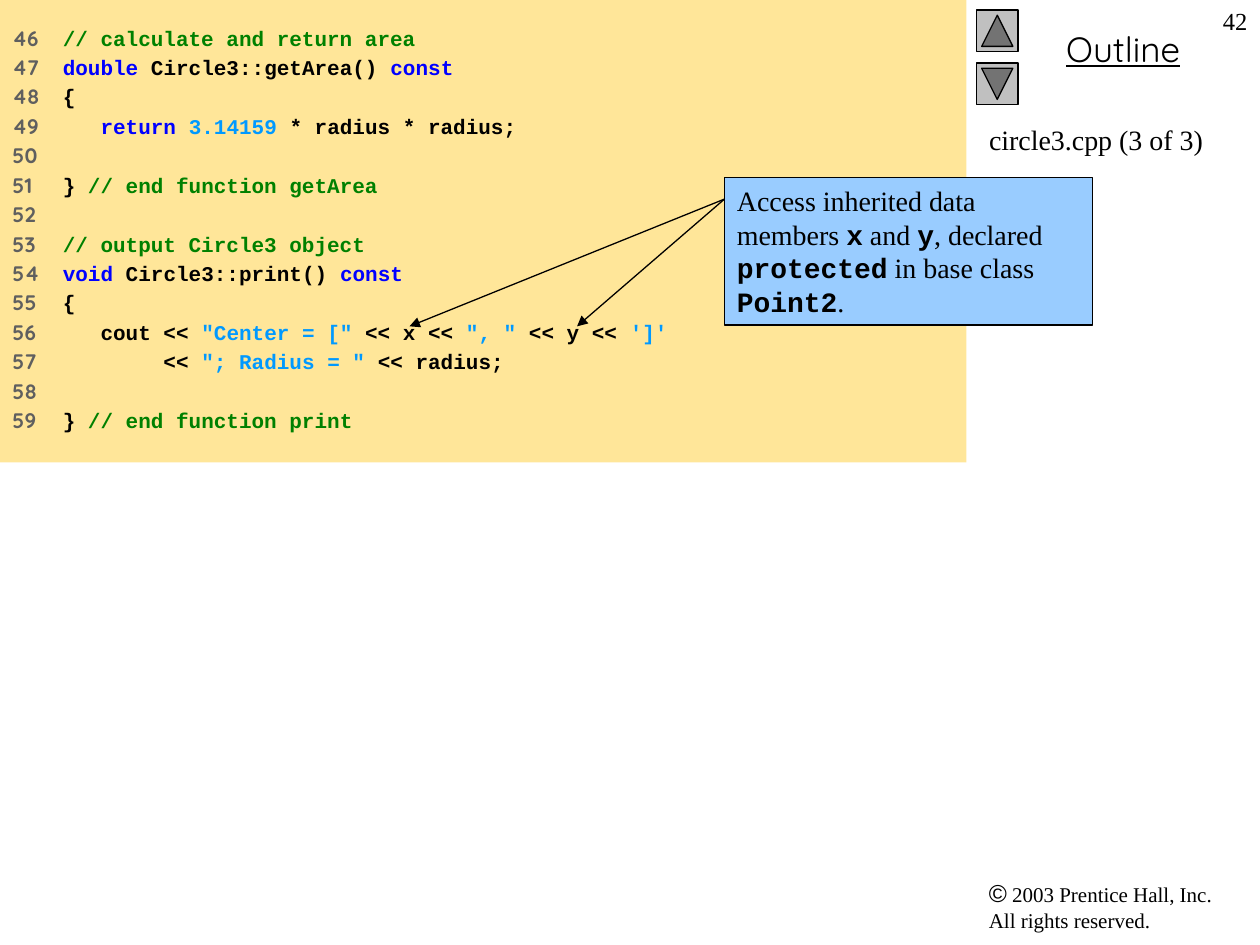
from dataclasses import dataclass

from lxml.etree import SubElement
from pptx import Presentation
from pptx.dml.color import RGBColor
from pptx.enum.shapes import MSO_CONNECTOR as Connector, MSO_SHAPE as Preset
from pptx.enum.text import MSO_ANCHOR as Anchor, MSO_AUTO_SIZE as AutoSize, PP_ALIGN as Align
from pptx.oxml.ns import qn
from pptx.slide import Slide
from pptx.util import Inches, Pt

COLORS = {
    "ink": "000000", "number": "5F5F5F", "comment": "008000", "keyword": "0000FF",
    "literal": "0099FF", "code_panel": "FFE699", "callout": "99CCFF", "button": "C0C0C0",
}
SERIF, MONO, ROUND, SANS = "Times New Roman", "Courier New", "Quicksand", "Arial"

LISTING = [
    [("// calculate and return area", "comment")],
    [("double", "keyword"), (" Circle3::getArea() ", "ink"), ("const", "keyword")],
    [("{", "ink")],
    [("   return ", "keyword"), ("3.14159", "literal"), (" * radius * radius;", "ink")],
    [],
    [("} ", "ink"), ("// end function getArea", "comment")],
    [],
    [("// output Circle3 object", "comment")],
    [("void", "keyword"), (" Circle3::print() ", "ink"), ("const", "keyword")],
    [("{", "ink")],
    [("   cout << ", "ink"), ('"Center = ["', "literal"), (" << x << ", "ink"),
     ('", "', "literal"), (" << y << ", "ink"), ("']'", "literal")],
    [("        << ", "ink"), ('"; Radius = "', "literal"), (" << radius;", "ink")],
    [],
    [("} ", "ink"), ("// end function print", "comment")],
]
FIRST_NUMBER = 46
CALLOUT = [
    ("Access inherited data members ", SERIF), ("x", MONO), (" and ", SERIF), ("y", MONO),
    (", declared ", SERIF), ("protected", MONO), (" in base class ", SERIF),
    ("Point2", MONO), (".", SERIF),
]


def color(name):
    """Return the named palette colour."""
    return RGBColor.from_string(COLORS[name])


@dataclass
class SlideBuilder:
    """Hold the slide and its common style."""

    slide: Slide
    line_width: float = 0.75

    def add_words(self, paragraph, text, ink="ink", **formats):
        """Add a run, turning each newline into a line break."""
        for index, piece in enumerate(text.split("\n")):
            if index:
                paragraph.add_line_break()
            run = paragraph.add_run()
            run.text = piece
            run.font.color.rgb = color(ink)
            for name, value in formats.items():
                setattr(run.font, name, value)

    def frame(self, shape, margin=0.05, align=Align.LEFT):
        """Set up a text frame and return its first paragraph."""
        formats = {
            "word_wrap": True, "auto_size": AutoSize.NONE, "vertical_anchor": Anchor.TOP,
            "margin_left": Inches(0.1), "margin_right": Inches(0.1),
            "margin_top": Inches(margin), "margin_bottom": Inches(margin),
        }
        for name, value in formats.items():
            setattr(shape.text_frame, name, value)
        paragraph = shape.text_frame.paragraphs[0]
        paragraph.alignment = align
        return paragraph

    def title(self, text, box):
        """Place and fill the title placeholder."""
        title = self.slide.shapes.title
        for name, value in zip(("left", "top", "width", "height"), box):
            setattr(title, name, Inches(value))
        self.add_words(self.frame(title), text, size=Pt(16), name=SERIF)

    def label(self, box, align=Align.LEFT):
        """Add a text box and return its first paragraph."""
        return self.frame(self.slide.shapes.add_textbox(*map(Inches, box)), align=align)

    def shape(self, preset, box, fill, outlined=True):
        """Add a flat preset shape."""
        shape = self.slide.shapes.add_shape(preset, *map(Inches, box))
        shape.shadow.inherit = False
        shape.fill.solid()
        shape.fill.fore_color.rgb = color(fill)
        if outlined:
            shape.line.color.rgb = color("ink")
            shape.line.width = Pt(self.line_width)
        else:
            shape.line.fill.background()
        return shape

    def arrow(self, start, end):
        """Add a straight line with an arrowhead at its end."""
        arrow = self.slide.shapes.add_connector(Connector.STRAIGHT, *map(Inches, start + end))
        arrow.line.color.rgb = color("ink")
        arrow.line.width = Pt(self.line_width)
        outline = arrow._element.spPr.find(qn("a:ln"))
        SubElement(outline, qn("a:tailEnd"), type="triangle")
        SubElement(arrow._element.spPr, qn("a:effectLst"))

    def listing(self, box, lines, first_number):
        """Add a panel of numbered code lines."""
        panel = self.shape(Preset.RECTANGLE, box, "code_panel", outlined=False)
        paragraph = self.frame(panel, margin=0.2)
        style = {"size": Pt(12), "bold": True}
        for number, tokens in enumerate(lines, first_number):
            if number > first_number:
                paragraph = panel.text_frame.add_paragraph()
                paragraph.alignment = Align.LEFT
                paragraph.space_before = Pt(2.4)
            tabs = SubElement(paragraph._p.get_or_add_pPr(), qn("a:tabLst"))
            SubElement(tabs, qn("a:tab"), pos=str(Inches(0.4)), algn="l")
            gap = "\t" if tokens else ""
            self.add_words(paragraph, f"{number}{gap}", "number", name=ROUND, **style)
            for text, ink in tokens:
                self.add_words(paragraph, text, ink, name=MONO, **style)


def main():
    """Build the slide and save it."""
    deck = Presentation()
    deck.slide_width, deck.slide_height = Inches(10), Inches(7.5)
    builder = SlideBuilder(deck.slides.add_slide(deck.slide_layouts[5]))

    copyright_line = builder.label((7.75, 6.92, 2.17, 0.54))
    builder.add_words(copyright_line, "©", size=Pt(14), name=SANS)
    builder.add_words(copyright_line, " 2003 Prentice Hall, Inc.\nAll rights reserved.",
                      size=Pt(12), name=SERIF)

    outline = builder.label((7.83, 0.17, 2.17, 0.44), Align.CENTER)
    builder.add_words(outline, "Outline", size=Pt(20), name=ROUND, underline=True)
    for top, rotation in ((0.08, 90), (0.5, 270)):
        button = builder.shape(Preset.ACTION_BUTTON_BACK_OR_PREVIOUS,
                               (7.75, top, 0.33, 0.33), "button")
        button.rotation = rotation

    builder.title("circle3.cpp (3 of 3)", (7.75, 0.92, 2.25, 5.25))
    builder.listing((0, 0, 7.67, 3.67), LISTING, FIRST_NUMBER)

    callout = builder.frame(builder.shape(Preset.RECTANGLE, (5.75, 1.41, 2.92, 1.17), "callout"))
    for text, font in CALLOUT:
        builder.add_words(callout, text, size=Pt(16), name=font, bold=font == MONO)
    for target in (3.25, 4.58):
        builder.arrow((5.75, 1.58), (target, 2.59))

    page_number = builder.label((9.5, 0, 0.5, 0.5), Align.RIGHT)
    builder.add_words(page_number, "42", size=Pt(14), name=SERIF)
    deck.save("out.pptx")


if __name__ == "__main__":
    main()
